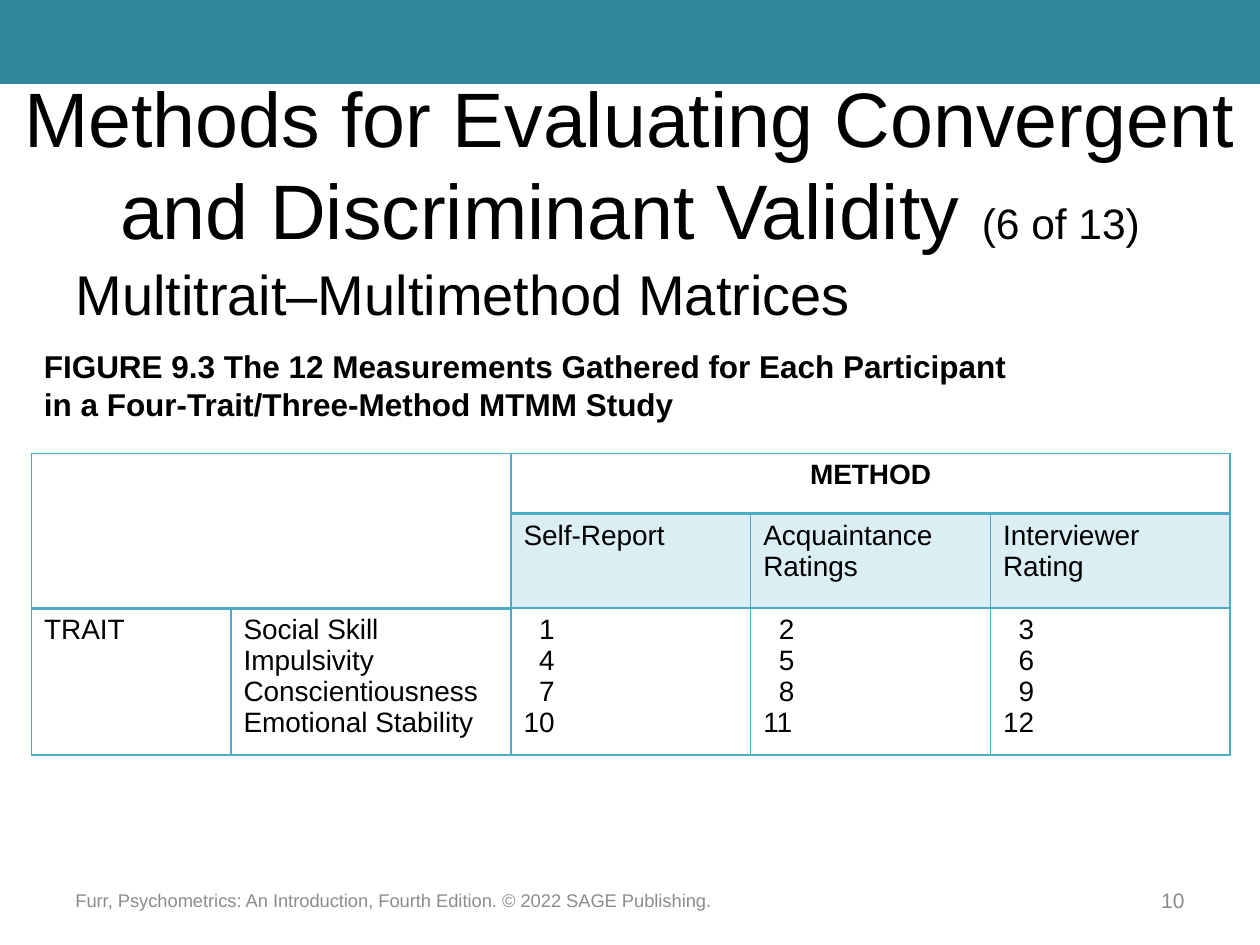
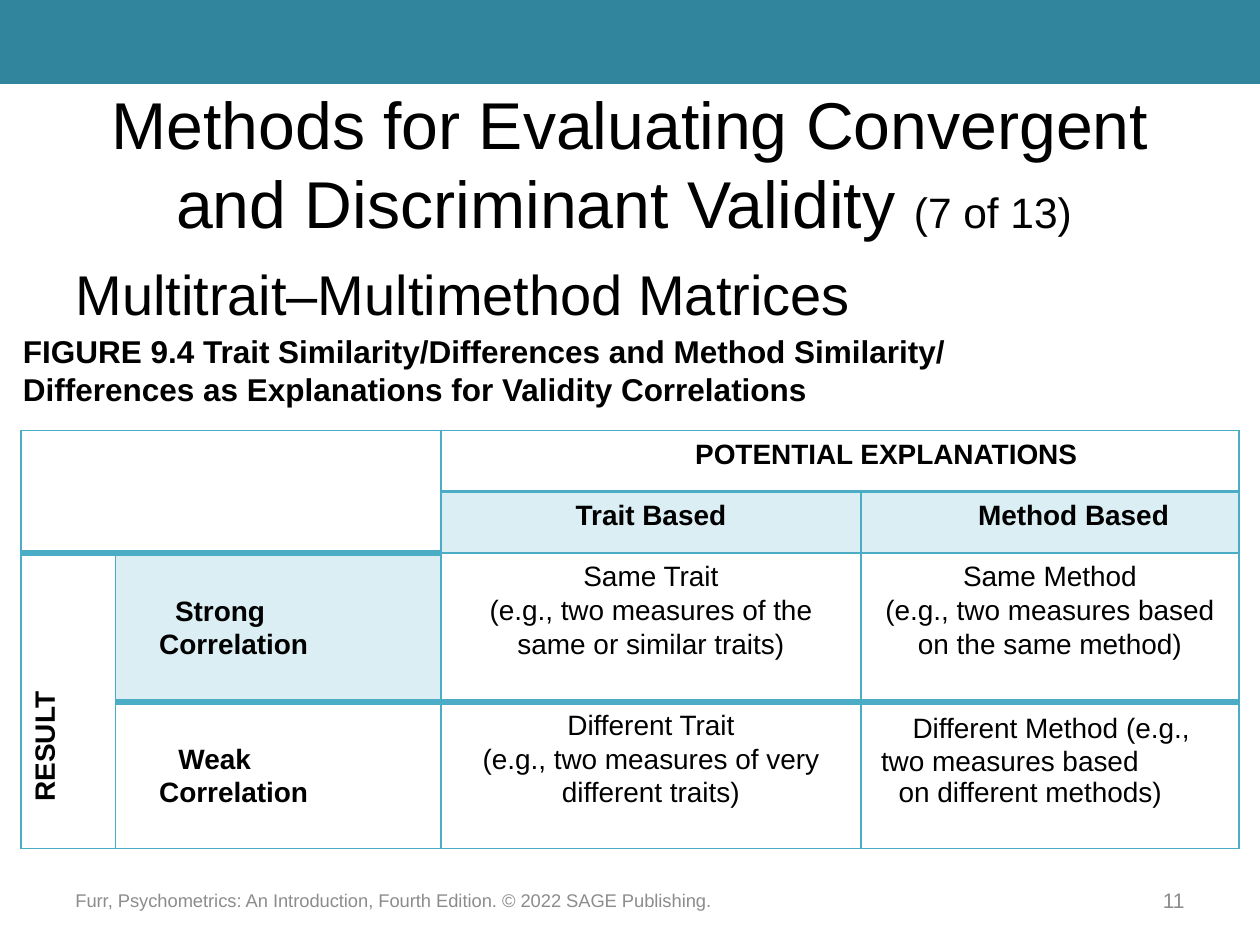
"""Builds two slides on multitrait–multimethod matrices."""
from dataclasses import dataclass

from lxml.etree import SubElement
from pptx import Presentation
from pptx.dml.color import RGBColor as RGB
from pptx.enum.shapes import MSO_SHAPE as SHAPE
from pptx.enum.text import MSO_ANCHOR as ANCHOR, PP_ALIGN as ALIGN
from pptx.oxml.ns import qn
from pptx.util import Pt

TEAL, AQUA, TINT = RGB(0x31, 0x85, 0x9C), RGB(0x4B, 0xAC, 0xC6), RGB(0xDB, 0xEE, 0xF4)
BLACK, GREY, WHITE = RGB(0, 0, 0), RGB(0x8C, 0x8C, 0x8C), RGB(255, 255, 255)
FONT = "Arial"
DIGIT_WIDTH = 8.9


@dataclass
class Para:
    text: str
    align: ALIGN = ALIGN.LEFT
    bold: bool = False
    left: float = 0
    first: float = 0
    spacing: float = 1


@dataclass
class Cell:
    paras: list
    span: tuple = (1, 1)
    fill: RGB = WHITE
    anchor: ANCHOR = ANCHOR.TOP
    vert: str = "horz"


def lines(*texts):
    return [Para(text) for text in texts]


def scores(start):
    return [Para(str(n), left=DIGIT_WIDTH * (2 - len(str(n)))) for n in range(start, 13, 4 - 1)]


def heading(text, left=0):
    return [Para(text, ALIGN.CENTER, True, left)]


def result(text, first):
    return [Para(text, bold=True, left=20, first=first, spacing=1.08)]


def explanation(name, example):
    return [Para(name, ALIGN.CENTER), Para(example, ALIGN.CENTER, spacing=1.08)]


TITLE = "Methods for Evaluating Convergent and Discriminant Validity "
SUBTITLE = "Multitrait–Multimethod Matrices"
FOOTER = "Furr, Psychometrics: An Introduction, Fourth Edition. © 2022 SAGE Publishing."

SLIDES = [
    dict(
        number=10, part="(6 of 13)", title_size=44.1, title_box=(0, 48, 720, 90),
        caption=["FIGURE 9.3 The 12 Measurements Gathered for Each Participant",
                 "in a Four-Trait/Three-Method MTMM Study"],
        caption_box=(18, 195, 684, 51),
        table_at=(18, 259), insets=(7.2, 3.6),
        cols=[114, 160, 137, 137, 137], rows=[34.5, 54, 60],
        heavy={(1, 2): 2, (1, 3): 2, (1, 4): 2, (2, 0): 2, (2, 1): 2},
        cells={
            (0, 0): Cell([], (2, 2)),
            (0, 2): Cell(heading("METHOD"), (1, 3)),
            (1, 2): Cell(lines("Self-Report"), fill=TINT),
            (1, 3): Cell(lines("Acquaintance", "Ratings"), fill=TINT),
            (1, 4): Cell(lines("Interviewer", "Rating"), fill=TINT),
            (2, 0): Cell(lines("TRAIT")),
            (2, 1): Cell(lines("Social Skill", "Impulsivity", "Conscientiousness",
                               "Emotional Stability")),
            (2, 2): Cell(scores(1)),
            (2, 3): Cell(scores(2)),
            (2, 4): Cell(scores(3)),
        },
    ),
    dict(
        number=11, part="(7 of 13) ", title_size=37.8, title_box=(36, 48, 648, 90),
        caption=["FIGURE 9.4 Trait Similarity/Differences and Method Similarity/",
                 "Differences as Explanations for Validity Correlations"],
        caption_box=(6, 186, 672, 51),
        table_at=(12, 246), insets=(5, 5),
        cols=[54, 186, 240, 216], rows=[35, 35, 85, 84],
        heavy={(1, 2): 2, (1, 3): 2, (2, 0): 4, (2, 1): 4,
               (3, 1): 4, (3, 2): 4, (3, 3): 4},
        cells={
            (0, 0): Cell([], (2, 2)),
            (0, 2): Cell(heading("POTENTIAL EXPLANATIONS", 53), (1, 2)),
            (1, 2): Cell(heading("Trait Based"), fill=TINT),
            (1, 3): Cell(heading("Method Based", 27), fill=TINT),
            (2, 0): Cell([Para("RESULT", bold=True, left=22)], (2, 1), vert="vert270"),
            (2, 1): Cell(result("Strong\vCorrelation", 9), fill=TINT, anchor=ANCHOR.MIDDLE),
            (2, 2): Cell(explanation(
                "Same Trait", "(e.g., two measures of the\vsame or similar traits)")),
            (2, 3): Cell(explanation(
                "Same Method", "(e.g., two measures based\von the same method)")),
            (3, 1): Cell(result("Weak\vCorrelation", 11), anchor=ANCHOR.MIDDLE),
            (3, 2): Cell(explanation(
                "Different Trait", "(e.g., two measures of very\vdifferent traits)")),
            (3, 3): Cell([Para("Different Method (e.g.,\vtwo measures based",
                               left=6.5, first=18, spacing=1.08),
                          Para("on different methods)", left=16.5)]),
        },
    ),
]


def style(font, size, color=BLACK, bold=False):
    font.name, font.size, font.bold = FONT, Pt(size), bold
    font.color.rgb = color


def add_text(slide, box, texts, size, color=BLACK, bold=False,
             align=ALIGN.LEFT, anchor=ANCHOR.TOP):
    frame = slide.shapes.add_textbox(*map(Pt, box)).text_frame
    frame.word_wrap, frame.vertical_anchor = True, anchor
    frame.text = "\n".join(texts)
    for para in frame.paragraphs:
        para.alignment = align
        style(para.font, size, color, bold)
    return frame


def add_frame(slide, content):
    band = slide.shapes.add_shape(SHAPE.RECTANGLE, 0, 0, Pt(720), Pt(48))
    band.shadow.inherit = False
    band.fill.solid()
    band.fill.fore_color.rgb = TEAL
    band.line.fill.background()
    title = add_text(slide, content["title_box"], [TITLE], content["title_size"],
                     align=ALIGN.CENTER, anchor=ANCHOR.MIDDLE)
    part = title.paragraphs[0].add_run()
    part.text = content["part"]
    part.font.size = Pt(24.3)
    add_text(slide, (36, 145, 648, 44), [SUBTITLE], 32)
    add_text(slide, (36, 500, 594, 29), [FOOTER], 10.5, GREY, anchor=ANCHOR.MIDDLE)
    add_text(slide, (648, 500, 36, 29), [str(content["number"])], 12, GREY,
             align=ALIGN.RIGHT, anchor=ANCHOR.MIDDLE)


def set_borders(cell, widths):
    props = cell._tc.get_or_add_tcPr()
    for position, (side, width) in enumerate(widths.items()):
        edge = SubElement(props, qn(f"a:ln{side}"), w=str(Pt(width)))
        fill = SubElement(edge, qn("a:solidFill"))
        SubElement(fill, qn("a:srgbClr"), val=str(AQUA))
        props.insert(position, edge)


def fill_cell(cell, spec, insets):
    cell.margin_left = cell.margin_right = Pt(insets[0])
    cell.margin_top = cell.margin_bottom = Pt(insets[1])
    cell.vertical_anchor = spec.anchor
    cell.fill.solid()
    cell.fill.fore_color.rgb = spec.fill
    cell._tc.get_or_add_tcPr().set("vert", spec.vert)
    cell.text = "\n".join(para.text for para in spec.paras)
    for para, part in zip(cell.text_frame.paragraphs, spec.paras):
        para.alignment, para.line_spacing = part.align, part.spacing
        props = para._p.get_or_add_pPr()
        props.set("marL", str(Pt(part.left)))
        props.set("indent", str(Pt(part.first)))
        style(para.font, 16, bold=part.bold)


def add_matrix(slide, content):
    cols, rows, heavy = content["cols"], content["rows"], content["heavy"]
    size = sum(cols), sum(rows)
    shape = slide.shapes.add_table(len(rows), len(cols),
                                   *map(Pt, content["table_at"] + size))
    table = shape.table
    table.first_row = table.horz_banding = False
    for column, width in zip(table.columns, cols):
        column.width = Pt(width)
    for row, height in zip(table.rows, rows):
        row.height = Pt(height)
    for r in range(len(rows)):
        for c in range(len(cols)):
            cell, spec = table.cell(r, c), content["cells"].get((r, c), Cell([]))
            tall, wide = spec.span
            if spec.span != (1, 1):
                cell.merge(table.cell(r + tall - 1, c + wide - 1))
            fill_cell(cell, spec, content["insets"])
            set_borders(cell, {"L": 1, "R": 1, "T": heavy.get((r, c), 1),
                               "B": heavy.get((r + tall, c), 1)})


def main():
    deck = Presentation()
    deck.slide_width, deck.slide_height = Pt(720), Pt(540)
    for content in SLIDES:
        slide = deck.slides.add_slide(deck.slide_layouts[6])
        add_frame(slide, content)
        add_matrix(slide, content)
        add_text(slide, content["caption_box"], content["caption"], 18, bold=True)
    deck.save("out.pptx")


if __name__ == "__main__":
    main()
